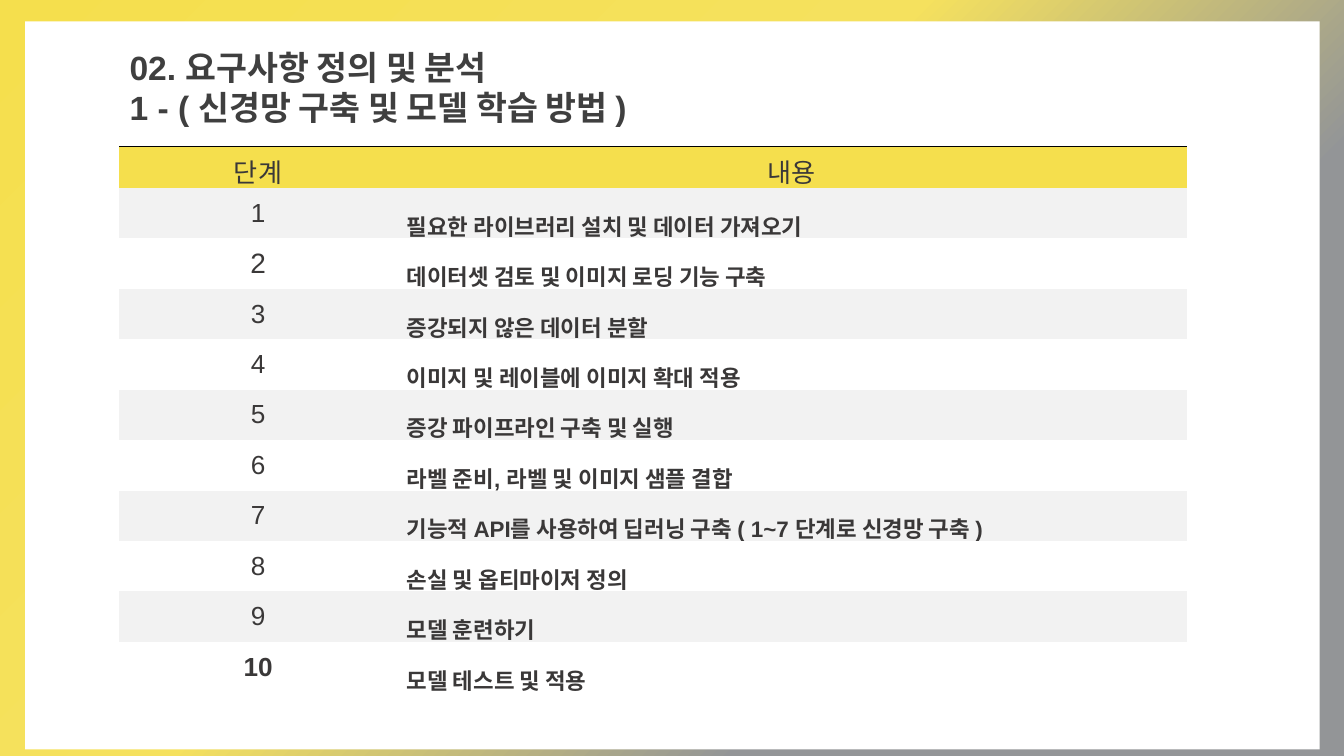
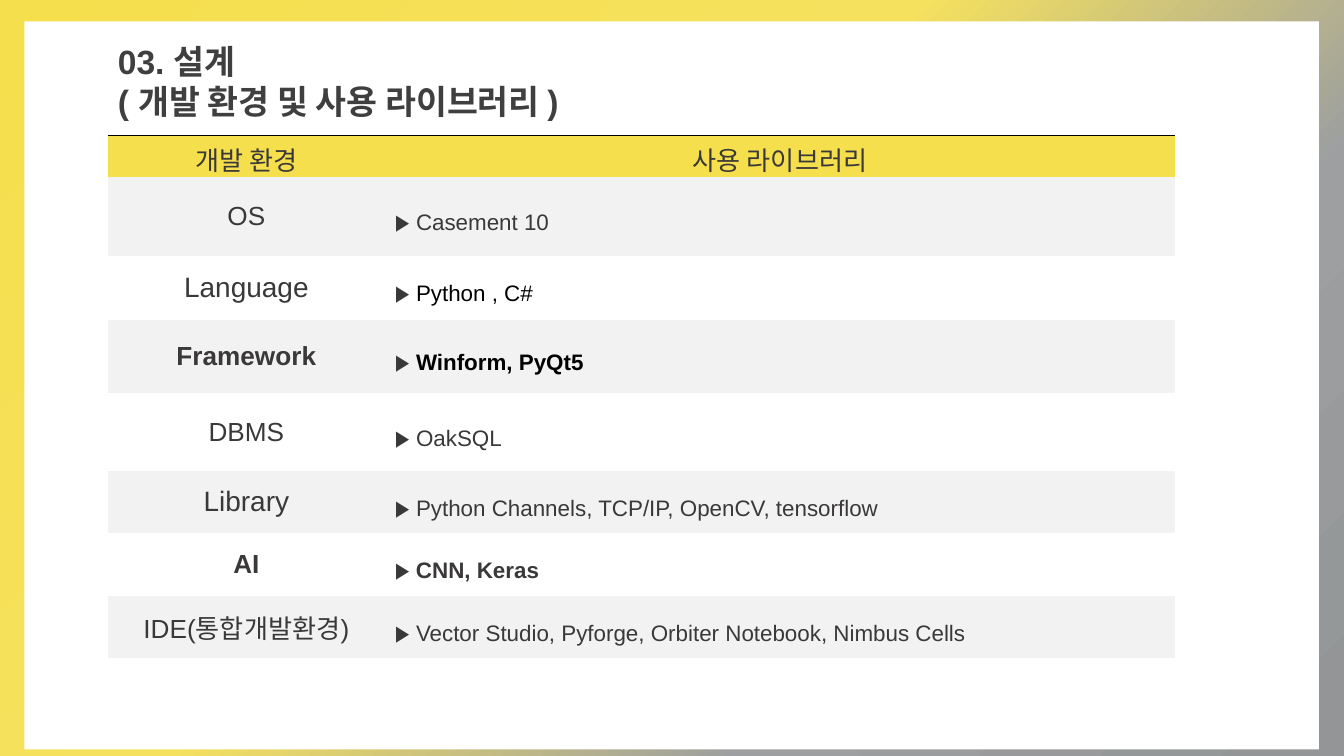
from dataclasses import dataclass

from lxml.etree import SubElement
from pptx import Presentation
from pptx.dml.color import RGBColor
from pptx.enum.shapes import MSO_SHAPE as Preset
from pptx.enum.text import MSO_ANCHOR as Anchor, MSO_AUTO_SIZE as AutoSize, PP_ALIGN as Align
from pptx.oxml.ns import qn
from pptx.util import Pt


@dataclass(frozen=True)
class Theme:
    font: str = "Arial"
    yellow: str = "F5DF4D"
    pale_yellow: str = "F5E15E"
    grey: str = "939597"
    white: str = "FFFFFF"
    stripe: str = "F2F2F2"
    black: str = "000000"
    title_ink: str = "3F3F3F"
    ink: str = "3A3838"
    title_size: float = 18
    label_size: float = 14
    large_label_size: float = 15
    body_size: float = 12
    inset_x: float = 5.4
    inset_y: float = 2.7
    columns: tuple = (148.5, 423.5)


THEME = Theme()
NO_TABLE_STYLE = "{2D5ABB26-0587-4C30-8999-92F81FD0307C}"


@dataclass
class Entry:
    """One table row: a centred label and a left-aligned description."""
    label: str
    text: str
    height: float
    large: bool = False
    bold_label: bool = False
    bold_text: bool = False
    text_color: str = THEME.ink
    marker: str = ""


class Deck:
    def __init__(self, theme):
        self.theme = theme
        self.prs = Presentation()
        self.prs.slide_width, self.prs.slide_height = Pt(720), Pt(405)
        self.slide = None

    def add_slide(self, panel_left, third_stop):
        self.slide = self.prs.slides.add_slide(self.prs.slide_layouts[6])
        theme = self.theme
        self.background((0, theme.yellow), (44, theme.pale_yellow),
                        (71, third_stop), (100, theme.grey))
        panel = self.slide.shapes.add_shape(
            Preset.RECTANGLE, Pt(panel_left), Pt(11.5), Pt(693.5), Pt(390 - 11.5 + 11.5))
        panel.shadow.inherit = False
        panel.fill.solid()
        panel.fill.fore_color.rgb = RGBColor.from_string(theme.white)
        panel.line.fill.background()

    def background(self, *stops):
        fill = self.slide.background.fill
        fill.gradient()
        fill.gradient_angle = 315
        stop_list = next(self.slide.element.iter(qn("a:gsLst")))
        for old in list(stop_list):
            stop_list.remove(old)
        for percent, color in stops:
            stop = SubElement(stop_list, qn("a:gs"), pos=str(percent * 1000))
            SubElement(stop, qn("a:srgbClr"), val=color)

    def run(self, paragraph, text, size, color, bold=False):
        run = paragraph.add_run()
        run.text = text
        font = run.font
        font.name, font.size, font.bold = self.theme.font, Pt(size), bold
        font.color.rgb = RGBColor.from_string(color)

    def set_insets(self, holder):
        holder.margin_left = holder.margin_right = Pt(self.theme.inset_x)
        holder.margin_top = holder.margin_bottom = Pt(self.theme.inset_y)

    def title(self, left, top, *lines):
        frame = self.slide.shapes.add_textbox(Pt(left), Pt(top), Pt(305), Pt(49)).text_frame
        frame.word_wrap = True
        frame.auto_size = AutoSize.SHAPE_TO_FIT_TEXT
        self.set_insets(frame)
        for i, line in enumerate(lines):
            paragraph = frame.add_paragraph() if i else frame.paragraphs[0]
            self.run(paragraph, line, self.theme.title_size, self.theme.title_ink, True)

    def cell(self, cell, fill):
        """Fill the cell and return its first paragraph."""
        self.set_insets(cell)
        cell.vertical_anchor = Anchor.MIDDLE
        cell.fill.solid()
        cell.fill.fore_color.rgb = RGBColor.from_string(fill)
        return cell.text_frame.paragraphs[0]

    def top_border(self, cell):
        properties = cell._tc.get_or_add_tcPr()
        line = SubElement(properties, qn("a:lnT"), w=str(Pt(0.75)))
        SubElement(SubElement(line, qn("a:solidFill")), qn("a:srgbClr"), val=self.theme.black)
        properties.insert(0, line)

    def table(self, left, top, entries, header=(), header_height=22, striped_first=True):
        theme = self.theme
        heights = ([header_height] if header else []) + [entry.height for entry in entries]
        frame = self.slide.shapes.add_table(
            len(heights), len(theme.columns), Pt(left), Pt(top),
            Pt(sum(theme.columns)), Pt(sum(heights)))
        table = frame.table
        table.first_row = table.horz_banding = False
        next(frame.element.iter(qn("a:tableStyleId"))).text = NO_TABLE_STYLE
        for column, width in zip(table.columns, theme.columns):
            column.width = Pt(width)
        for row, height in zip(table.rows, heights):
            row.height = Pt(height)

        for col, heading in enumerate(header):
            cell = table.cell(0, col)
            paragraph = self.cell(cell, theme.yellow)
            paragraph.alignment = Align.CENTER
            self.run(paragraph, heading, theme.label_size, theme.ink)
            self.top_border(cell)

        first = 1 if header else 0
        for i, entry in enumerate(entries):
            fill = theme.stripe if (i % 2 == 0) == striped_first else theme.white
            label = self.cell(table.cell(first + i, 0), fill)
            label.alignment = Align.CENTER
            size = theme.large_label_size if entry.large else theme.label_size
            self.run(label, entry.label, size, theme.ink, entry.bold_label)
            body = self.cell(table.cell(first + i, 1), fill)
            body.line_spacing = 1.5
            if entry.marker:
                self.run(body, entry.marker, theme.body_size, theme.ink, True)
            self.run(body, entry.text, theme.body_size, entry.text_color, entry.bold_text)


def training_steps(deck):
    steps = (
        "필요한 라이브러리 설치 및 데이터 가져오기",
        "데이터셋 검토 및 이미지 로딩 기능 구축",
        "증강되지 않은 데이터 분할",
        "이미지 및 레이블에 이미지 확대 적용",
        "증강 파이프라인 구축 및 실행",
        "라벨 준비, 라벨 및 이미지 샘플 결합",
        "기능적 API를 사용하여 딥러닝 구축 ( 1~7 단계로 신경망 구축 )",
        "손실 및 옵티마이저 정의",
        "모델 훈련하기",
        "모델 테스트 및 적용",
    )
    deck.add_slide(13.5, THEME.grey)
    deck.title(64, 22.5, "02. 요구사항 정의 및 분석", "1 - ( 신경망 구축 및 모델 학습 방법 )")
    entries = [Entry(str(n), step, 27, large=n == 2, bold_label=n == len(steps), bold_text=True)
               for n, step in enumerate(steps, 1)]
    deck.table(64, 78.5, entries, header=("단계", "내용"))


def environment(deck):
    def tool(label, text, height, **style):
        return Entry(label, text, height, marker="▶ ", **style)

    left = 57.75
    deck.add_slide(13, "9D9FA0")
    deck.title(left, 19, "03. 설계", "( 개발 환경 및 사용 라이브러리 )")
    deck.table(left, 72.5, [
        tool("OS", "Casement 10", 42.25),
        tool("Language", "Python , C#", 34, large=True, text_color=THEME.black),
        tool("Framework", "Winform, PyQt5", 39.5, bold_label=True, bold_text=True,
             text_color=THEME.black),
    ], header=("개발 환경", "사용 라이브러리"), header_height=22.5)
    deck.table(left, 211, [
        tool("DBMS", "OakSQL", 41.25),
        tool("Library", "Python Channels, TCP/IP, OpenCV, tensorflow", 33.5, large=True),
        tool("AI", "CNN, Keras", 33.25, bold_label=True, bold_text=True),
    ], striped_first=False)
    deck.table(left, 319.5, [
        tool("IDE(통합개발환경)",
             "Vector Studio, Pyforge, Orbiter Notebook, Nimbus Cells", 33),
    ])


def main():
    deck = Deck(THEME)
    training_steps(deck)
    environment(deck)
    deck.prs.save("out.pptx")


if __name__ == "__main__":
    main()
